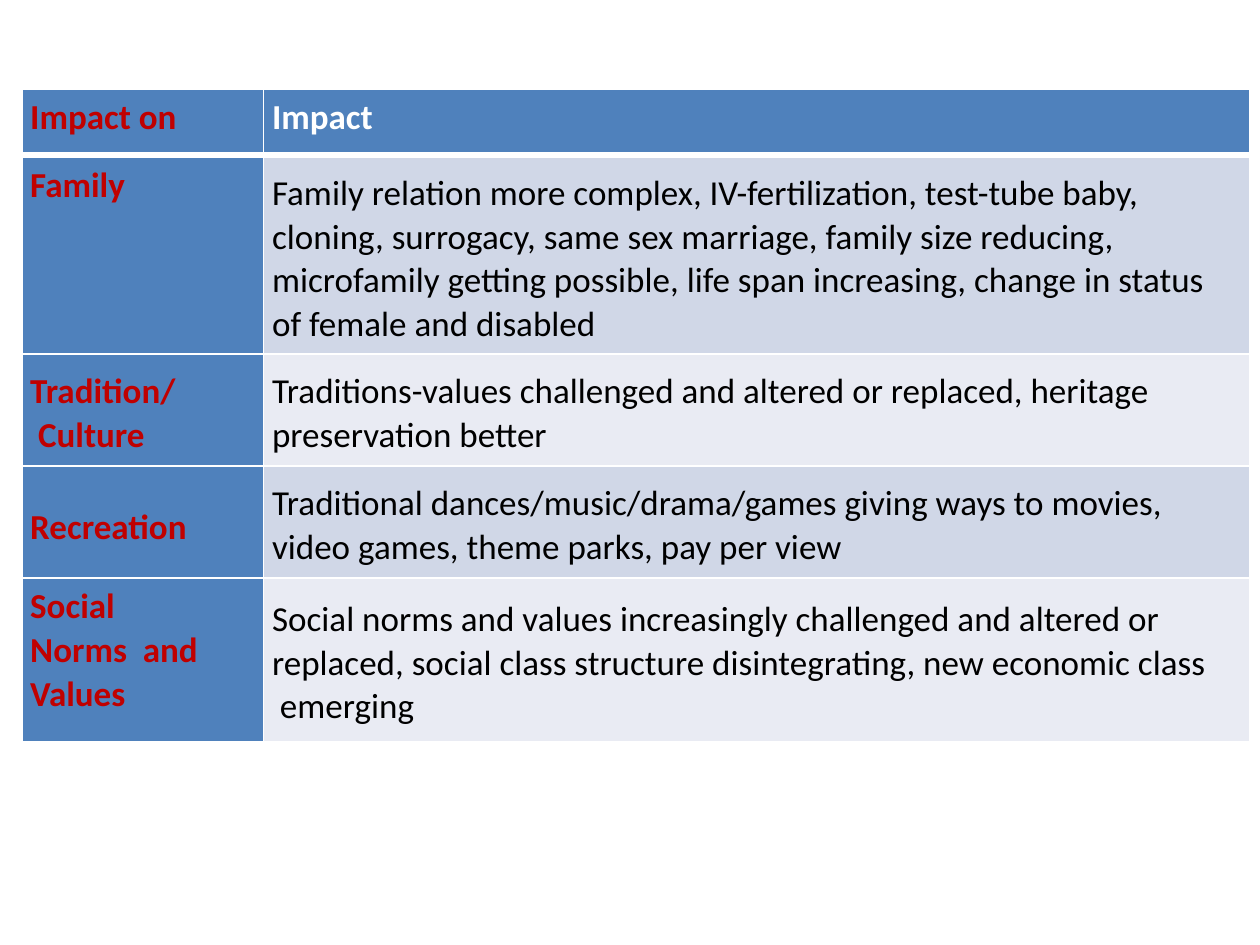
from lxml.etree import SubElement
from pptx import Presentation
from pptx.dml.color import RGBColor as RGB
from pptx.oxml.ns import qn
from pptx.util import Inches, Pt

COLORS = {
    "blue": "4F81BC", "red": "C00000", "white": "FFFFFF",
    "black": "000000", "band": "D0D7E7", "pale": "E9EBF3",
}
COLUMNS = [1.91, 7.83]
HEIGHTS = [0.52, 1.58, 0.89, 0.89, 1.3]
RULES = [4.25, 1, 1.5, 1]
ROWS = [
    [("Impact on", 0.05), ("Impact", 0.05)],
    [("Family", 0.07),
     ("Family relation more complex, IV-fertilization, test-tube baby, "
      "cloning, surrogacy, same sex marriage, family size reducing, "
      "microfamily getting possible, life span increasing, change in "
      "status of female and disabled", 0.13)],
    [("Tradition/\v Culture", 0.12),
     ("Traditions-values challenged and altered or replaced, heritage "
      "preservation better", 0.12)],
    [("Recreation", 0.31),
     ("Traditional dances/music/drama/games giving ways to movies, "
      "video games, theme parks, pay per view", 0.12)],
    [("Social\vNorms  and\vValues", 0.05),
     ("Social norms and values increasingly challenged and altered or "
      "replaced, social class structure disintegrating, new economic class"
      "\v emerging", 0.15)],
]


def add_border(cell, side, width):
    ln = SubElement(cell._tc.get_or_add_tcPr(), qn(f"a:ln{side}"), w=str(Pt(width)))
    fill = SubElement(ln, qn("a:solidFill"))
    SubElement(fill, qn("a:srgbClr"), val=COLORS["white"])


def fill_cell(cell, text, top, left, right, fill, color, bold):
    cell.margin_left, cell.margin_right = Inches(left), Inches(right)
    cell.margin_top, cell.margin_bottom = Inches(top), 0
    cell.fill.solid()
    cell.fill.fore_color.rgb = RGB.from_string(COLORS[fill])
    p = cell.text_frame.paragraphs[0]
    p.text = text
    p.line_spacing = 1.02 if top > 0.1 or "\v" in text else 1.0
    p.font.name, p.font.size, p.font.bold = "Calibri", Pt(20), bold
    p.font.color.rgb = RGB.from_string(COLORS[color])


def add_impact_table(s, x, y, w, h):
    frame = s.shapes.add_table(len(ROWS), len(COLUMNS), Inches(x), Inches(y), Inches(w), Inches(h))
    table = frame.table
    table.first_row = table.horz_banding = False
    for column, width in zip(table.columns, COLUMNS):
        column.width = Inches(w * width / sum(COLUMNS))
    for i, (row, height) in enumerate(zip(table.rows, HEIGHTS)):
        row.height = Inches(h * height / sum(HEIGHTS))
        for j, (cell, (text, top)) in enumerate(zip(row.cells, ROWS[i])):
            add_border(cell, "LR"[1 - j], 1)
            if i > 0:
                add_border(cell, "T", RULES[i - 1])
            if i < len(RULES):
                add_border(cell, "B", RULES[i])
            if j == 0:
                fill_cell(cell, text, top, 0.06, 0, "blue", "red", True)
            elif i == 0:
                fill_cell(cell, text, top, 0.07, 0, "blue", "white", True)
            else:
                band = "band" if i % 2 else "pale"
                fill_cell(cell, text, top, 0.07, 0.3, band, "black", False)


def main():
    prs = Presentation()
    prs.slide_width, prs.slide_height = Inches(10), Inches(7.5)
    s = prs.slides.add_slide(prs.slide_layouts[6])
    add_impact_table(s, 0.18, 0.71, 9.74, 5.18)
    prs.save("out.pptx")


if __name__ == "__main__":
    main()
